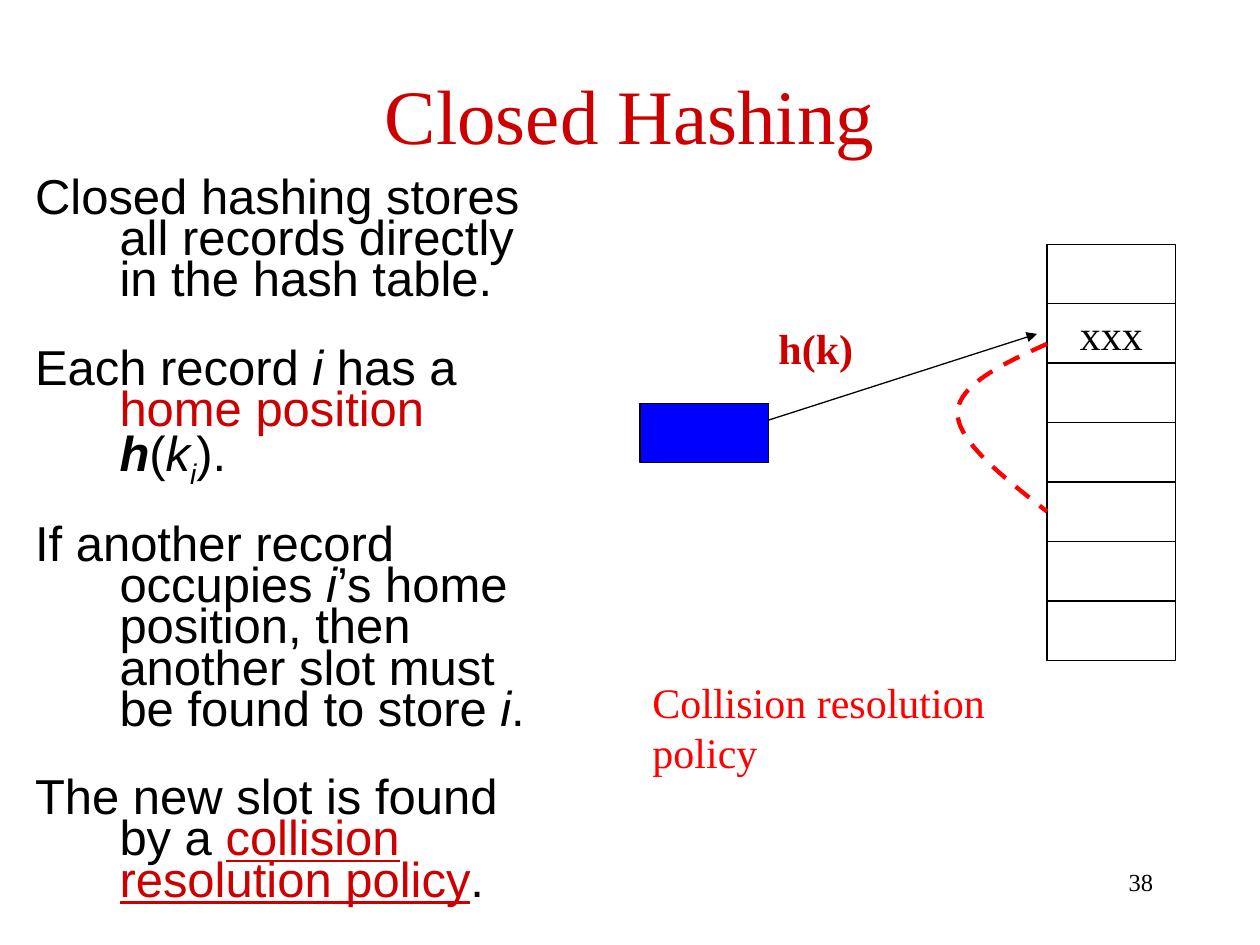
import pptx
import pptx.dml.color
import pptx.enum.dml
import pptx.enum.shapes
import pptx.enum.text
import pptx.oxml.ns
import pptx.util
from lxml import etree

Inches = pptx.util.Inches
Pt = pptx.util.Pt
RGBColor = pptx.dml.color.RGBColor
PP_ALIGN = pptx.enum.text.PP_ALIGN
MIDDLE = pptx.enum.text.MSO_ANCHOR.MIDDLE
qn = pptx.oxml.ns.qn

BLACK = RGBColor(0x00, 0x00, 0x00)
DARK_RED = RGBColor(0xCC, 0x00, 0x00)
RED = RGBColor(0xFF, 0x00, 0x00)
BLUE = RGBColor(0x00, 0x00, 0xFF)
SERIF = "Times New Roman"
SANS = "Arial"

BOX_WIDTH, BOX_HEIGHT = 1.02, 0.47
SLOT_LEFT, SLOT_TOP, SLOT_PITCH = 8.31, 1.94, 0.472
SLOT_TEXTS = ["", "xxx", "", "", "", "", ""]

# Each paragraph is a list of (text, format) runs
ITALIC = {"italic": True}
EXPLANATION = [
    [("Closed hashing stores all records directly in the hash table.", {})],
    [("Each record ", {}), ("i", ITALIC), (" has a ", {}),
     ("home position ", {"color": DARK_RED}),
     ("h", {"bold": True, "italic": True}), ("(", {}), ("k", ITALIC),
     ("i", {"italic": True, "subscript": True}), (").", {})],
    [("If another record occupies ", {}), ("i", ITALIC),
     ("’s home position, then another slot must be found to store ", {}),
     ("i", ITALIC), (".", {})],
    [("The new slot is found by a ", {}),
     ("collision resolution policy", {"color": DARK_RED, "underline": True}),
     (".", {})],
]


def add_run(paragraph, text, size, name=SERIF, color=BLACK, bold=False,
            italic=False, underline=False, subscript=False):
    run = paragraph.add_run()
    run.text = text
    font = run.font
    font.size, font.name = Pt(size), name
    font.bold, font.italic, font.underline = bold, italic, underline
    font.color.rgb = color
    if subscript:
        run._r.get_or_add_rPr().set("baseline", "-25000")


def add_title(slide, text):
    title = slide.shapes.title
    title.left, title.top = Inches(0.5), Inches(0.4)
    title.width, title.height = Inches(9), Inches(1)
    title.text_frame.vertical_anchor = MIDDLE
    heading = title.text_frame.paragraphs[0]
    heading.alignment = PP_ALIGN.CENTER
    add_run(heading, text, 44, color=DARK_RED)


def add_explanation(slide, left, top, width, height):
    explanation = slide.shapes.add_textbox(
        Inches(left), Inches(top), Inches(width), Inches(height))
    frame = explanation.text_frame
    frame.word_wrap = True
    for number, runs in enumerate(EXPLANATION):
        paragraph = frame.add_paragraph() if number else frame.paragraphs[0]
        paragraph.line_spacing = 0.7
        if number:
            paragraph.space_before = Pt(27)
        # Hanging indent
        properties = paragraph._p.get_or_add_pPr()
        properties.set("marL", str(Inches(0.67)))
        properties.set("indent", str(-Inches(0.67)))
        for text, style in runs:
            add_run(paragraph, text, 28, SANS, **style)


def add_label(slide, text, left, top, width, size=24, align=PP_ALIGN.LEFT,
              wrap=False, **style):
    label = slide.shapes.add_textbox(
        Inches(left), Inches(top), Inches(width), Inches(0.5))
    label.text_frame.word_wrap = wrap
    paragraph = label.text_frame.paragraphs[0]
    paragraph.alignment = align
    add_run(paragraph, text, size, **style)


def add_box(slide, left, top, fill=None, text=""):
    box = slide.shapes.add_shape(
        pptx.enum.shapes.MSO_SHAPE.RECTANGLE,
        Inches(left), Inches(top), Inches(BOX_WIDTH), Inches(BOX_HEIGHT))
    box.shadow.inherit = False
    if fill is None:
        box.fill.background()
    else:
        box.fill.solid()
        box.fill.fore_color.rgb = fill
    box.line.color.rgb = BLACK
    box.line.width = Pt(0.75)
    if text:
        frame = box.text_frame
        frame.word_wrap = False
        frame.vertical_anchor = MIDDLE
        frame.paragraphs[0].alignment = PP_ALIGN.CENTER
        add_run(frame.paragraphs[0], text, 24)


def add_arrow(slide, start, end):
    arrow = slide.shapes.add_connector(
        pptx.enum.shapes.MSO_CONNECTOR.STRAIGHT,
        *[Inches(value) for value in start + end])
    arrow.line.color.rgb = BLACK
    arrow.line.width = Pt(0.75)
    etree.SubElement(arrow.line._get_or_add_ln(), qn("a:tailEnd"),
                     type="triangle")
    etree.SubElement(arrow._element.spPr, qn("a:effectLst"))


def bezier_points(p0, p1, p2, p3, steps=24):
    points = []
    for step in range(steps + 1):
        t = step / steps
        u = 1 - t
        points.append(tuple(
            Inches(u**3 * a + 3 * u**2 * t * b + 3 * u * t**2 * c + t**3 * d)
            for a, b, c, d in zip(p0, p1, p2, p3)))
    return points


def add_probe_curve(slide):
    upper = bezier_points((8.31, 2.73), (7.95, 2.89), (7.6, 3.06), (7.6, 3.28))
    lower = bezier_points((7.6, 3.28), (7.6, 3.5), (7.95, 3.78), (8.31, 4.06))
    builder = slide.shapes.build_freeform(*upper[0])
    builder.add_line_segments(upper[1:] + lower[1:], close=False)
    curve = builder.convert_to_shape()
    curve.shadow.inherit = False
    curve.fill.background()
    curve.line.color.rgb = RED
    curve.line.width = Pt(2.5)
    curve.line.dash_style = pptx.enum.dml.MSO_LINE.DASH


def main():
    deck = pptx.Presentation()
    deck.slide_width, deck.slide_height = Inches(10), Inches(7.5)
    slide = deck.slides.add_slide(deck.slide_layouts[5])

    add_title(slide, "Closed Hashing")
    add_explanation(slide, 0.18, 1.39, 4.19, 5.75)

    # Hash table slots
    for row, text in enumerate(SLOT_TEXTS):
        add_box(slide, SLOT_LEFT, SLOT_TOP + row * SLOT_PITCH, text=text)

    # Record hashed to its home position, then moved on by the policy
    add_arrow(slide, (6.02, 3.36), (8.23, 2.65))
    add_label(slide, "h(k)", 6.08, 2.51, 0.79, color=DARK_RED, bold=True)
    add_probe_curve(slide)
    add_box(slide, 5.08, 3.2, fill=BLUE)
    add_label(slide, "Collision resolution policy", 5.08, 5.32, 3.75, color=RED)

    # Slide number
    add_label(slide, "38", 7.17, 6.83, 2.08, size=14, align=PP_ALIGN.RIGHT,
              wrap=True)

    deck.save("out.pptx")


if __name__ == "__main__":
    main()
